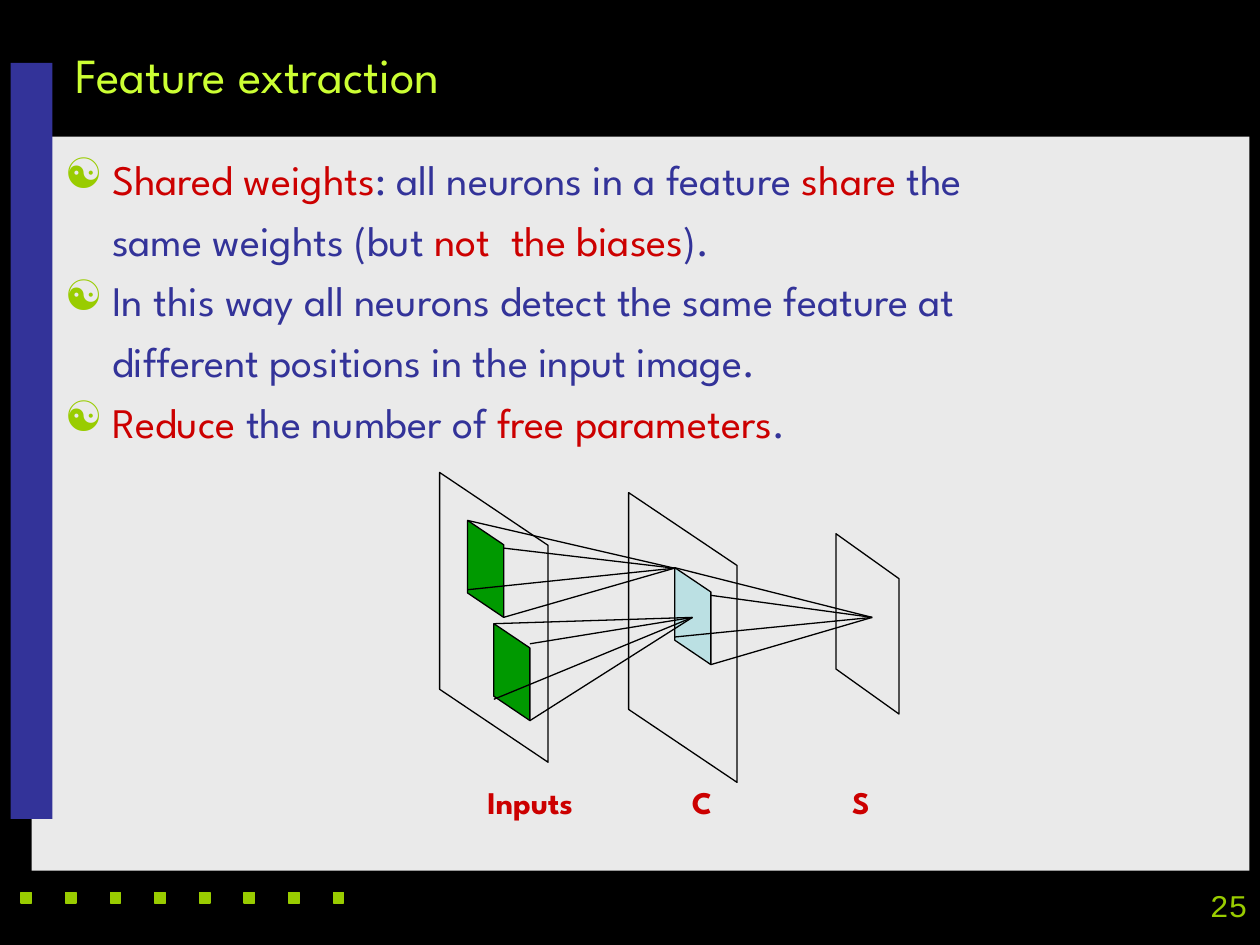
from lxml import etree
from pptx import Presentation
from pptx.dml.color import RGBColor
from pptx.enum.shapes import MSO_CONNECTOR, MSO_SHAPE
from pptx.enum.text import MSO_ANCHOR, MSO_AUTO_SIZE, PP_ALIGN
from pptx.oxml.ns import qn
from pptx.util import Pt

RECTANGLE, PARALLELOGRAM = MSO_SHAPE.RECTANGLE, MSO_SHAPE.PARALLELOGRAM
STRAIGHT = MSO_CONNECTOR.STRAIGHT
MIDDLE, NO_FIT = MSO_ANCHOR.MIDDLE, MSO_AUTO_SIZE.NONE
LEFT, RIGHT, CENTER = PP_ALIGN.LEFT, PP_ALIGN.RIGHT, PP_ALIGN.CENTER

BLACK = RGBColor(0x00, 0x00, 0x00)
PANEL_GRAY = RGBColor(0xEA, 0xEA, 0xEA)
BLUE = RGBColor(0x33, 0x33, 0x99)
LIME = RGBColor(0x99, 0xCC, 0x00)
TITLE_LIME = RGBColor(0xCC, 0xFF, 0x33)
RED = RGBColor(0xCC, 0x00, 0x00)
GREEN = RGBColor(0x00, 0x99, 0x00)
PALE_BLUE = RGBColor(0xBB, 0xE0, 0xE3)

FONT = "League Spartan"
TITLE_FORMAT = {"name": FONT, "size": Pt(28), "color": TITLE_LIME}
BODY_FORMAT = {"name": FONT, "size": Pt(24), "color": BLUE}
KEY_FORMAT = {**BODY_FORMAT, "color": RED}
LABEL_FORMAT = {"name": FONT, "size": Pt(18), "bold": True, "color": RED}
NUMBER_FORMAT = {"name": "Courier New", "size": Pt(18), "color": LIME}

# Each line: whether it has a bullet, then (text, is key term) runs
BODY_LINES = [
    (True, [("Shared weights", True), (": all neurons in a feature ", False),
            ("share", True), (" the", False)]),
    (False, [("same weights (but ", False), ("not  the biases", True), (").", False)]),
    (True, [("In this way all neurons detect the same feature at", False)]),
    (False, [("different positions in the input image.", False)]),
    (True, [("Reduce", True), (" the number of ", False),
            ("free parameters", True), (".", False)]),
]


def add_run(paragraph, text, text_format):
    run = paragraph.add_run()
    run.text = text
    for name, value in text_format.items():
        if name == "color":
            run.font.color.rgb = value
        else:
            setattr(run.font, name, value)


def add_text_box(slide, box, text="", text_format=None, alignment=LEFT, wrap=True):
    frame = slide.shapes.add_textbox(*map(Pt, box)).text_frame
    frame.word_wrap = wrap
    paragraph = frame.paragraphs[0]
    paragraph.alignment = alignment
    if text:
        add_run(paragraph, text, text_format)
    return frame


def add_outlined_shape(slide, kind, box, fill=None, line=None):
    shape = slide.shapes.add_shape(kind, *map(Pt, box))
    shape.shadow.inherit = False
    if fill is None:
        shape.fill.background()
    else:
        shape.fill.solid()
        shape.fill.fore_color.rgb = fill
    if line is None:
        shape.line.fill.background()
    else:
        shape.line.color.rgb = line
        shape.line.width = Pt(0.75)
    return shape


def add_backdrop(slide):
    slide.background.fill.solid()
    slide.background.fill.fore_color.rgb = BLACK
    add_outlined_shape(slide, RECTANGLE, (18, 78, 696, 419.5), PANEL_GRAY)
    add_outlined_shape(slide, RECTANGLE, (6, 36, 24, 432), BLUE)


def add_dots(slide, left, top, count=8, size=6, pitch=25.5):
    for index in range(count):
        box = (left + index * pitch, top, size, size)
        add_outlined_shape(slide, RECTANGLE, box, LIME, LIME)


def add_title(slide, left, top, width, height):
    title = slide.shapes.title
    title.left, title.top, title.width, title.height = map(Pt, (left, top, width, height))
    frame = title.text_frame
    frame.vertical_anchor = MIDDLE
    frame.auto_size = NO_FIT
    frame.paragraphs[0].alignment = LEFT
    add_run(frame.paragraphs[0], "Feature extraction", TITLE_FORMAT)


def set_indent(paragraph, bulleted):
    """Hang the bullet; lines without one start at the same text edge."""
    properties = paragraph._p.get_or_add_pPr()
    properties.set("marL", str(Pt(27)))
    properties.set("indent", str(Pt(-27) if bulleted else 0))
    if bulleted:
        color = etree.SubElement(properties, qn("a:buClr"))
        etree.SubElement(color, qn("a:srgbClr"), val=str(LIME))
        etree.SubElement(properties, qn("a:buChar"), char="☯")
    else:
        etree.SubElement(properties, qn("a:buNone"))


def add_body(slide, box):
    frame = add_text_box(slide, box)
    for index, (bulleted, runs) in enumerate(BODY_LINES):
        paragraph = frame.add_paragraph() if index else frame.paragraphs[0]
        paragraph.space_before = Pt(6)
        set_indent(paragraph, bulleted)
        for text, is_key in runs:
            add_run(paragraph, text, KEY_FORMAT if is_key else BODY_FORMAT)


def add_plane(slide, left, top, width, height, slant, fill=None):
    """Upright sheet whose right edge sits lower: a parallelogram turned by 90 degrees."""
    turned_box = (left + (width - height) / 2, top + (height - width) / 2, height, width)
    plane = add_outlined_shape(slide, PARALLELOGRAM, turned_box, fill, BLACK)
    plane.adjustments[0] = slant / width
    plane.rotation = 90


def add_ray(slide, start, end):
    ray = slide.shapes.add_connector(STRAIGHT, *map(Pt, (*start, *end)))
    ray.line.color.rgb = BLACK
    ray.line.width = Pt(0.75)
    etree.SubElement(ray._element.spPr, qn("a:effectLst"))


def add_network(slide, left, top):
    # Layers: offset, size and slant
    for x, y, width, height, slant in [
        (108, 11.5, 62, 165.6, 41.7),
        (0, 0, 62, 165.6, 41.7),
        (226.5, 35, 36, 103, 25.7),
    ]:
        add_plane(slide, left + x, top + y, width, height, slant)

    # Receptive fields: offset, fill, ray heights at left and right, target
    patch_width, patch_height = 20.6, 55.4
    fields = [
        (16, 27.4, GREEN, 39.6, 15.8, (134.2, 54.7)),
        (31, 86.4, GREEN, 43.2, 11.5, (144.5, 82.8)),
        (134.4, 54.4, PALE_BLUE, 39.6, 15.8, (247.2, 82.8)),
    ]
    for x, y, fill, *_ in fields:
        add_plane(slide, left + x, top + y, patch_width, patch_height, 13.9, fill)
    for x, y, _, left_drop, right_drop, target in fields:
        end = (left + target[0], top + target[1])
        corners = [(0, 0), (0, left_drop),
                   (patch_width, patch_height), (patch_width, right_drop)]
        for corner_x, corner_y in corners:
            add_ray(slide, (left + x + corner_x, top + y + corner_y), end)

    # Layer names
    for text, x, width in [("Inputs", 15.4, 72.7), ("C", 137, 26), ("S", 228.5, 24.5)]:
        box = (left + x, top + 174.2, width, 28.8)
        add_text_box(slide, box, text, LABEL_FORMAT, CENTER, wrap=False)


def main():
    presentation = Presentation()
    presentation.slide_width, presentation.slide_height = Pt(720), Pt(540)
    slide = presentation.slides.add_slide(presentation.slide_layouts[5])
    add_backdrop(slide)
    add_dots(slide, 12, 510)
    add_title(slide, 36, 18, 672, 48)
    add_network(slide, 251.2, 270)
    add_body(slide, (30, 84, 678, 402))
    add_text_box(slide, (552, 502.5, 168, 37.5), "25", NUMBER_FORMAT, RIGHT)
    presentation.save("out.pptx")


if __name__ == "__main__":
    main()
